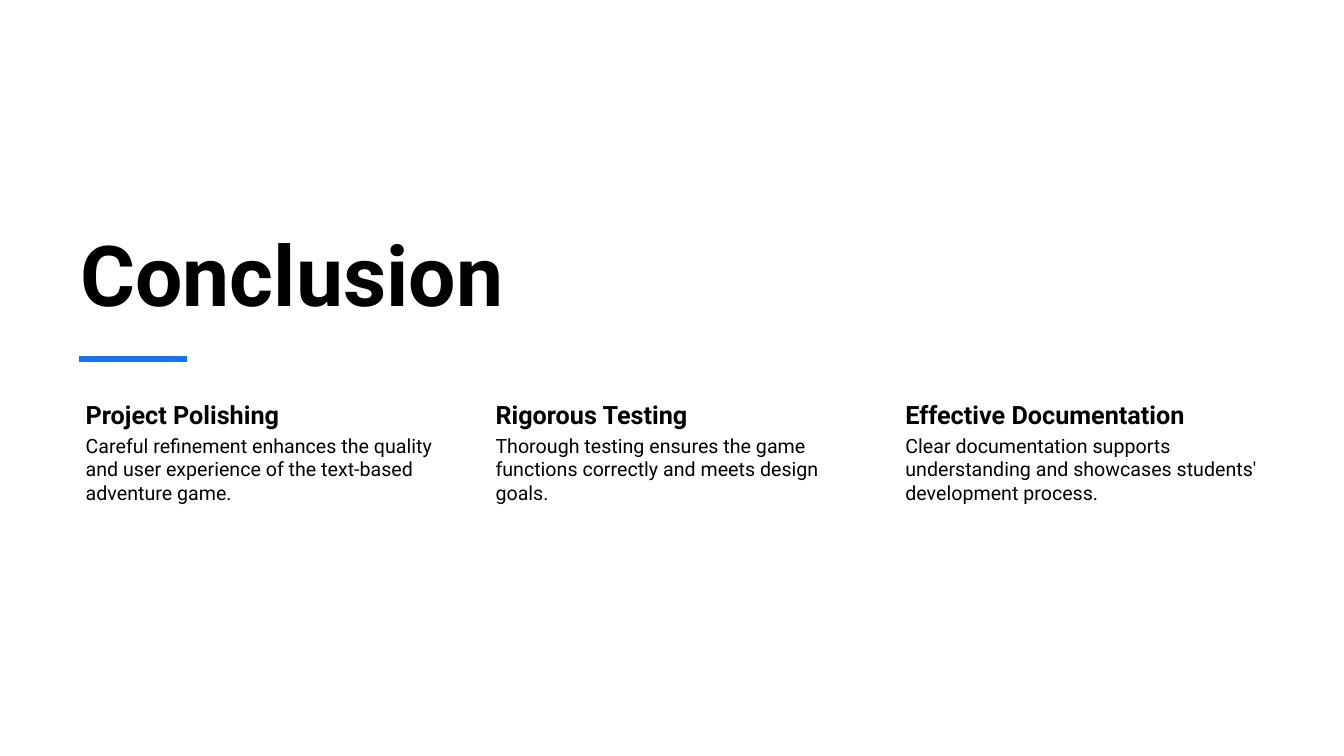
import pptx
import pptx.util
import pptx.dml.color
import pptx.enum.shapes
import pptx.enum.text
import lxml.etree

TITLE = "Conclusion"
TAKEAWAYS = [
    ("Project Polishing",
     "Careful refinement enhances the quality and user experience of the text-based adventure game."),
    ("Rigorous Testing",
     "Thorough testing ensures the game functions correctly and meets design goals."),
    ("Effective Documentation",
     "Clear documentation supports understanding and showcases students' development process."),
]
COLORS = {"background": "FFFFFF", "text": "000000", "accent": "1973EB"}
FONT = "Roboto"

Inches = pptx.util.Inches
LEFT = 0.7
COLUMN_WIDTH = 3.69
COLUMN_STEP = 4.065
HEADING_TOP, HEADING_HEIGHT = 3.93, 0.35
DETAIL_HEIGHT = 2.34
RULE_LEFT, RULE_RIGHT, RULE_TOP = 0.78, 1.85, 3.56


def color(name):
    return pptx.dml.color.RGBColor.from_string(COLORS[name])


def add_text(slide, text, box, insets, size, bold=False,
             anchor=pptx.enum.text.MSO_ANCHOR.TOP):
    frame = slide.shapes.add_textbox(*map(Inches, box)).text_frame
    frame.word_wrap = True
    frame.vertical_anchor = anchor
    (frame.margin_left, frame.margin_top,
     frame.margin_right, frame.margin_bottom) = map(Inches, insets)
    frame.text = text
    font = frame.paragraphs[0].runs[0].font
    font.name = FONT
    font.size = pptx.util.Pt(size)
    font.bold = bold
    font.color.rgb = color("text")


def main():
    deck = pptx.Presentation()
    deck.slide_width, deck.slide_height = Inches(13.33), Inches(7.5)
    slide = deck.slides.add_slide(deck.slide_layouts[6])
    slide.background.fill.solid()
    slide.background.fill.fore_color.rgb = color("background")

    add_text(slide, TITLE, (LEFT, 1.72, 8.93, 1.54), (0.1, 0.05, 0.1, 0.05),
             60, True, pptx.enum.text.MSO_ANCHOR.BOTTOM)

    for column, (heading, detail) in enumerate(TAKEAWAYS):
        left = LEFT + column * COLUMN_STEP
        add_text(slide, heading, (left, HEADING_TOP, COLUMN_WIDTH, HEADING_HEIGHT),
                 (0.15, 0.03, 0.03, 0.03), 18, True)
        add_text(slide, detail,
                 (left, HEADING_TOP + HEADING_HEIGHT, COLUMN_WIDTH, DETAIL_HEIGHT),
                 (0.15, 0.02, 0.02, 0.02), 14)

    rule = slide.shapes.add_connector(
        pptx.enum.shapes.MSO_CONNECTOR.STRAIGHT,
        *map(Inches, (RULE_LEFT, RULE_TOP, RULE_RIGHT, RULE_TOP)))
    rule.line.color.rgb = color("accent")
    rule.line.width = pptx.util.Pt(4.5)
    lxml.etree.SubElement(rule._element.spPr, pptx.oxml.ns.qn("a:effectLst"))

    deck.save("out.pptx")


if __name__ == "__main__":
    main()
